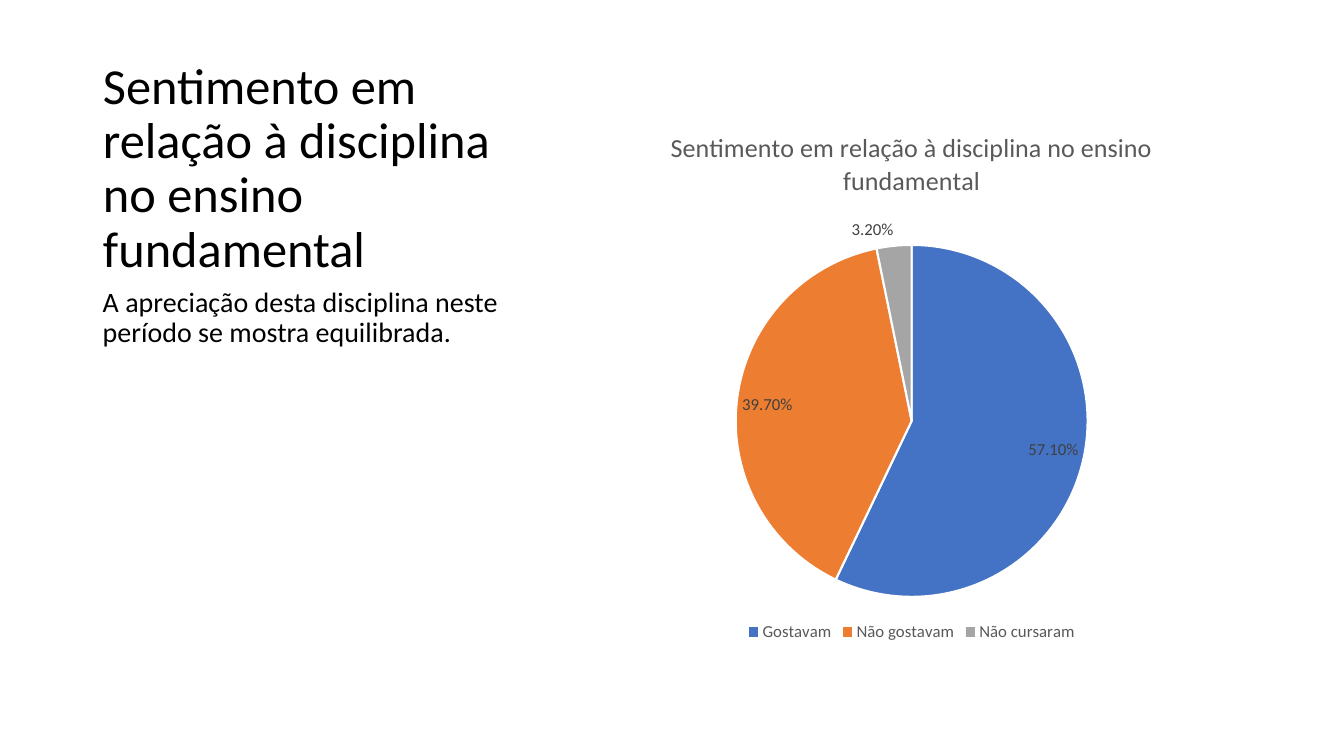
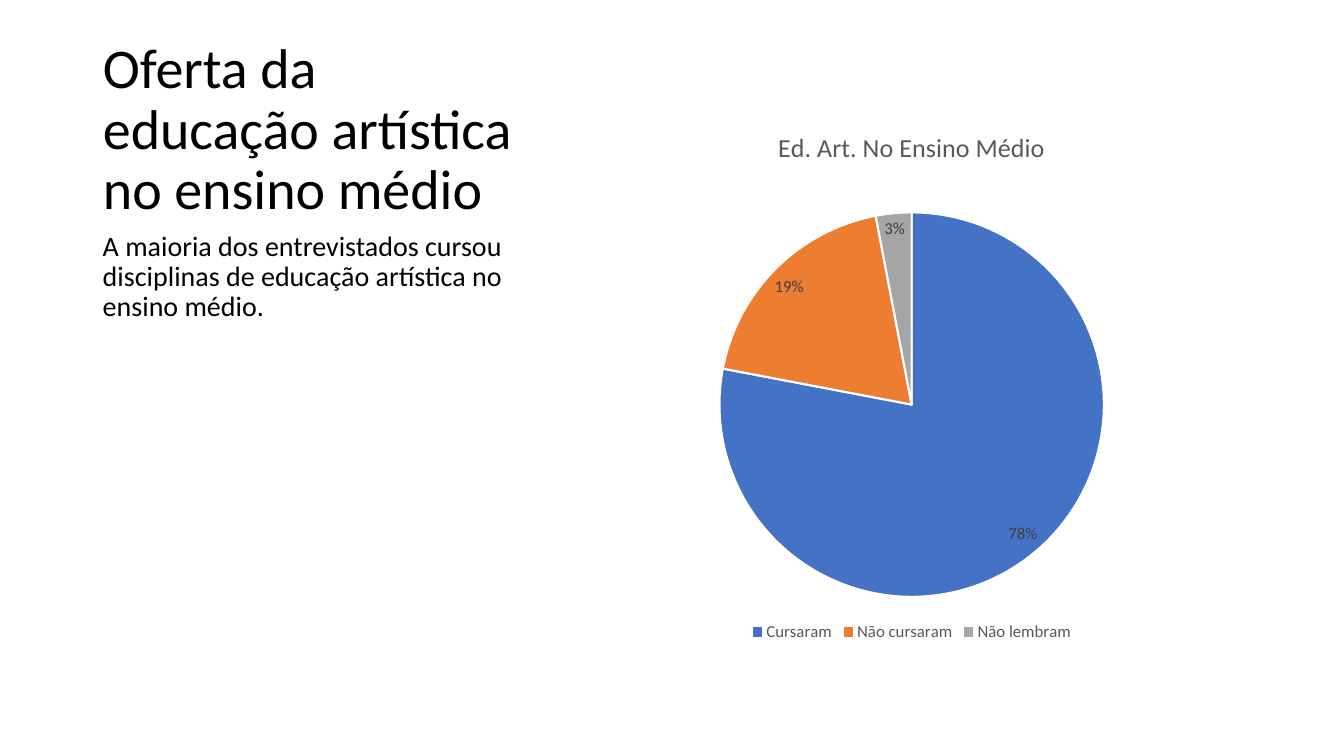
from pptx import Presentation
from pptx.chart.data import CategoryChartData
from pptx.dml.color import RGBColor
from pptx.enum.chart import XL_CHART_TYPE, XL_LABEL_POSITION, XL_LEGEND_POSITION
from pptx.enum.text import MSO_ANCHOR, MSO_AUTO_SIZE, PP_ALIGN
from pptx.util import Cm, Pt

FONT = "Calibri"
BLACK = RGBColor(0x00, 0x00, 0x00)
WHITE = RGBColor(0xFF, 0xFF, 0xFF)
GRAY = RGBColor(0x59, 0x59, 0x59)
DARK_GRAY = RGBColor(0x40, 0x40, 0x40)
SLICE_COLORS = (
    RGBColor(0x44, 0x72, 0xC4),
    RGBColor(0xED, 0x7D, 0x31),
    RGBColor(0xA5, 0xA5, 0xA5),
)

# Text column on the left
TEXT_LEFT, TEXT_TOP, TEXT_WIDTH = Cm(2.34), Cm(1.27), Cm(10.92)
TEXT_BOTTOM = Cm(16.3)
# Chart area on the right
CHART_AREA = (Cm(14.4), Cm(2.74), Cm(17.15), Cm(13.54))


class Deck:
    """Holds the shared style and the current slide."""

    def __init__(self):
        self.presentation = Presentation()
        self.presentation.slide_width = Cm(33.87)
        self.presentation.slide_height = Cm(19.05)
        self.slide = None

    def add_slide(self):
        title_only = self.presentation.slide_layouts[5]
        self.slide = self.presentation.slides.add_slide(title_only)

    def style_font(self, font, size, color):
        font.name = FONT
        font.size = Pt(size)
        font.bold = False
        font.color.rgb = color

    def fill_text(self, shape, text, size, anchor):
        frame = shape.text_frame
        frame.text = text
        frame.word_wrap = True
        frame.auto_size = MSO_AUTO_SIZE.NONE
        frame.vertical_anchor = anchor
        paragraph = frame.paragraphs[0]
        paragraph.alignment = PP_ALIGN.LEFT
        paragraph.line_spacing = 0.9
        self.style_font(paragraph.runs[0].font, size, BLACK)

    def add_title(self, text, size, height):
        title = self.slide.shapes.title
        title.left, title.top = TEXT_LEFT, TEXT_TOP
        title.width, title.height = TEXT_WIDTH, height
        self.fill_text(title, text, size, MSO_ANCHOR.BOTTOM)

    def add_body(self, text, top):
        body = self.slide.shapes.add_textbox(
            TEXT_LEFT, top, TEXT_WIDTH, TEXT_BOTTOM - top)
        self.fill_text(body, text, 20, MSO_ANCHOR.TOP)
        body.text_frame.paragraphs[0].space_before = Pt(10)

    def add_pie(self, title, values, number_format):
        data = CategoryChartData(number_format=number_format)
        data.categories = list(values)
        data.add_series(title, list(values.values()))
        chart = self.slide.shapes.add_chart(
            XL_CHART_TYPE.PIE, *CHART_AREA, data).chart
        self.style_font(chart.font, 10, BLACK)

        # Chart title and legend
        chart.has_title = True
        title_frame = chart.chart_title.text_frame
        title_frame.text = title
        self.style_font(title_frame.paragraphs[0].runs[0].font, 18.6, GRAY)
        chart.chart_title.include_in_layout = False
        chart.has_legend = True
        chart.legend.position = XL_LEGEND_POSITION.BOTTOM
        chart.legend.include_in_layout = False
        self.style_font(chart.legend.font, 12, GRAY)

        # Slices
        plot = chart.plots[0]
        plot.vary_by_categories = True
        for index, color in enumerate(SLICE_COLORS):
            slice_format = plot.series[0].points[index].format
            slice_format.fill.solid()
            slice_format.fill.fore_color.rgb = color
            slice_format.line.color.rgb = WHITE
            slice_format.line.width = Pt(1.5)

        # Value labels
        labels = plot.series[0].data_labels
        labels.show_value = True
        labels.show_percentage = False
        labels.number_format = number_format
        labels.number_format_is_linked = False
        labels.position = XL_LABEL_POSITION.BEST_FIT
        self.style_font(labels.font, 12, DARK_GRAY)

    def add_result(self, title, title_size, title_height, body,
                   chart_title, values, number_format):
        self.add_slide()
        self.add_title(title, title_size, title_height)
        self.add_pie(chart_title, values, number_format)
        self.add_body(body, TEXT_TOP + title_height)


def main():
    deck = Deck()

    # Feelings about the subject
    feeling = "Sentimento em relação à disciplina no ensino fundamental"
    deck.add_result(
        feeling, 36, Cm(5.87),
        "A apreciação desta disciplina neste período se mostra equilibrada.",
        feeling,
        {"Gostavam": 0.571, "Não gostavam": 0.397, "Não cursaram": 0.032},
        "0.00%")

    # Art education in secondary school
    deck.add_result(
        "Oferta da educação artística no ensino médio", 40, Cm(4.45),
        "A maioria dos entrevistados cursou disciplinas de educação "
        "artística no ensino médio.",
        "Ed. Art. No Ensino Médio",
        {"Cursaram": 0.78, "Não cursaram": 0.19, "Não lembram": 0.03},
        "0%")

    deck.presentation.save("out.pptx")


if __name__ == "__main__":
    main()
